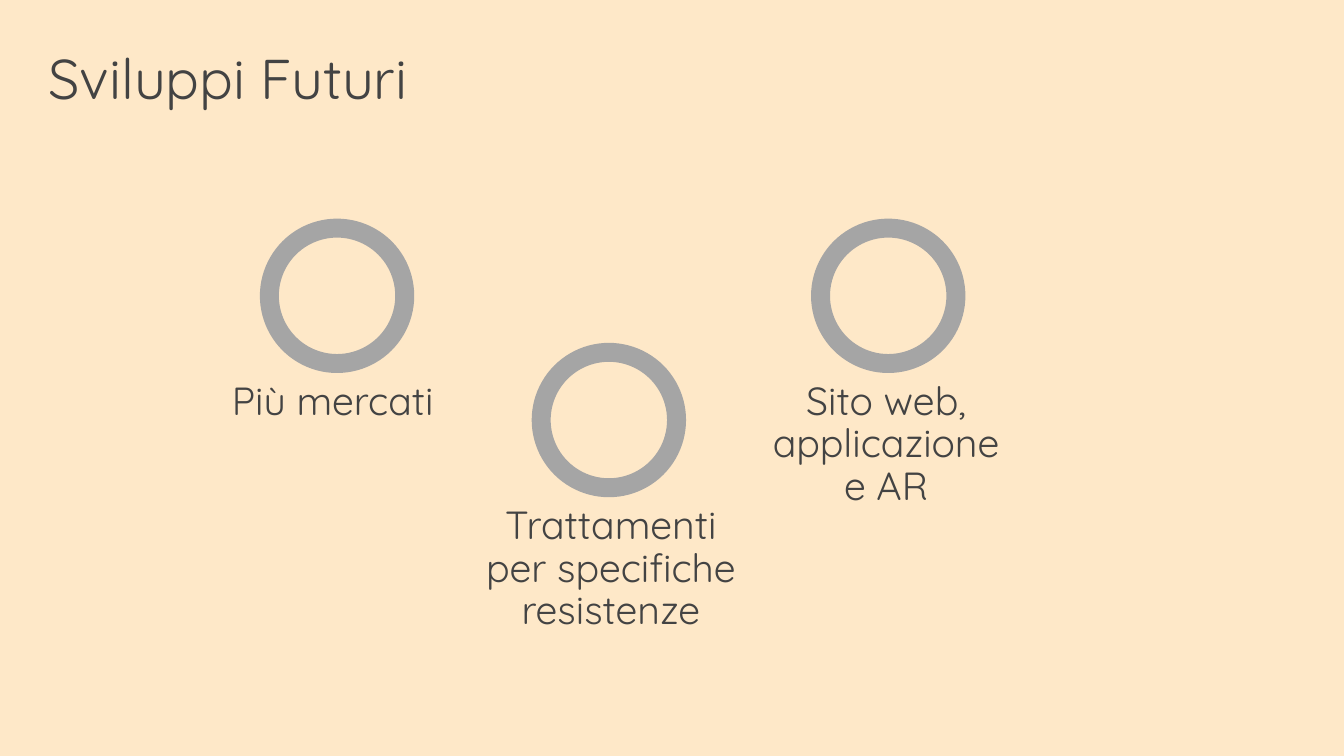
from pptx import Presentation
from pptx.dml.color import RGBColor
from pptx.enum.shapes import MSO_SHAPE
from pptx.enum.text import MSO_ANCHOR, PP_ALIGN
from pptx.util import Cm, Pt

COLORS = {"background": "FEE8C8", "ring": "A5A5A5", "text": "434343"}
FONT = "Quicksand"
RING_SIZE = 3.89
RING_THICKNESS = 0.123
INSET = 0.25

# Each development: label, ring left and top, label left, top, width and height (cm)
DEVELOPMENTS = [
    ("Più mercati", (6.55, 5.51), (4.88, 9.37, 7.01, 1.57)),
    ("Trattamenti per specifiche resistenze", (13.4, 8.64), (11.89, 12.5, 7.01, 3.53)),
    ("Sito web, applicazione e AR", (20.44, 5.51), (19.13, 9.37, 6.4, 2.79)),
]


def color(name):
    return RGBColor.from_string(COLORS[name])


def write_text(frame, text, size=28, align=PP_ALIGN.CENTER,
               anchor=MSO_ANCHOR.TOP, line_spacing=0.9):
    frame.word_wrap = True
    frame.vertical_anchor = anchor
    para = frame.paragraphs[0]
    para.alignment = align
    para.line_spacing = line_spacing
    span = para.add_run()
    span.text = text
    span.font.name = FONT
    span.font.size = Pt(size)
    span.font.color.rgb = color("text")


def add_title(page, text):
    title = page.shapes.title
    title.left, title.top, title.width, title.height = Cm(0.97), Cm(0.97), Cm(15.16), Cm(1.96)
    write_text(title.text_frame, text, size=40, align=PP_ALIGN.LEFT,
               anchor=MSO_ANCHOR.MIDDLE, line_spacing=1.0)


def add_ring(page, left, top):
    ring = page.shapes.add_shape(MSO_SHAPE.DONUT, Cm(left), Cm(top),
                                 Cm(RING_SIZE), Cm(RING_SIZE))
    ring.adjustments[0] = RING_THICKNESS
    ring.shadow.inherit = False
    ring.fill.solid()
    ring.fill.fore_color.rgb = color("ring")
    ring.line.fill.background()


def add_label(page, text, left, top, width, height):
    box = page.shapes.add_textbox(Cm(left), Cm(top), Cm(width), Cm(height))
    frame = box.text_frame
    frame.margin_left = frame.margin_right = Cm(INSET)
    frame.margin_top = frame.margin_bottom = Cm(INSET)
    write_text(frame, text)


def main():
    deck = Presentation()
    deck.slide_width, deck.slide_height = Cm(33.87), Cm(19.05)
    page = deck.slides.add_slide(deck.slide_layouts.get_by_name("Title Only"))

    # Background and title
    page.background.fill.solid()
    page.background.fill.fore_color.rgb = color("background")
    add_title(page, "Sviluppi Futuri")

    # Rings with their labels
    for text, ring_place, label_place in DEVELOPMENTS:
        add_ring(page, *ring_place)
        add_label(page, text, *label_place)

    deck.save("out.pptx")


if __name__ == "__main__":
    main()
